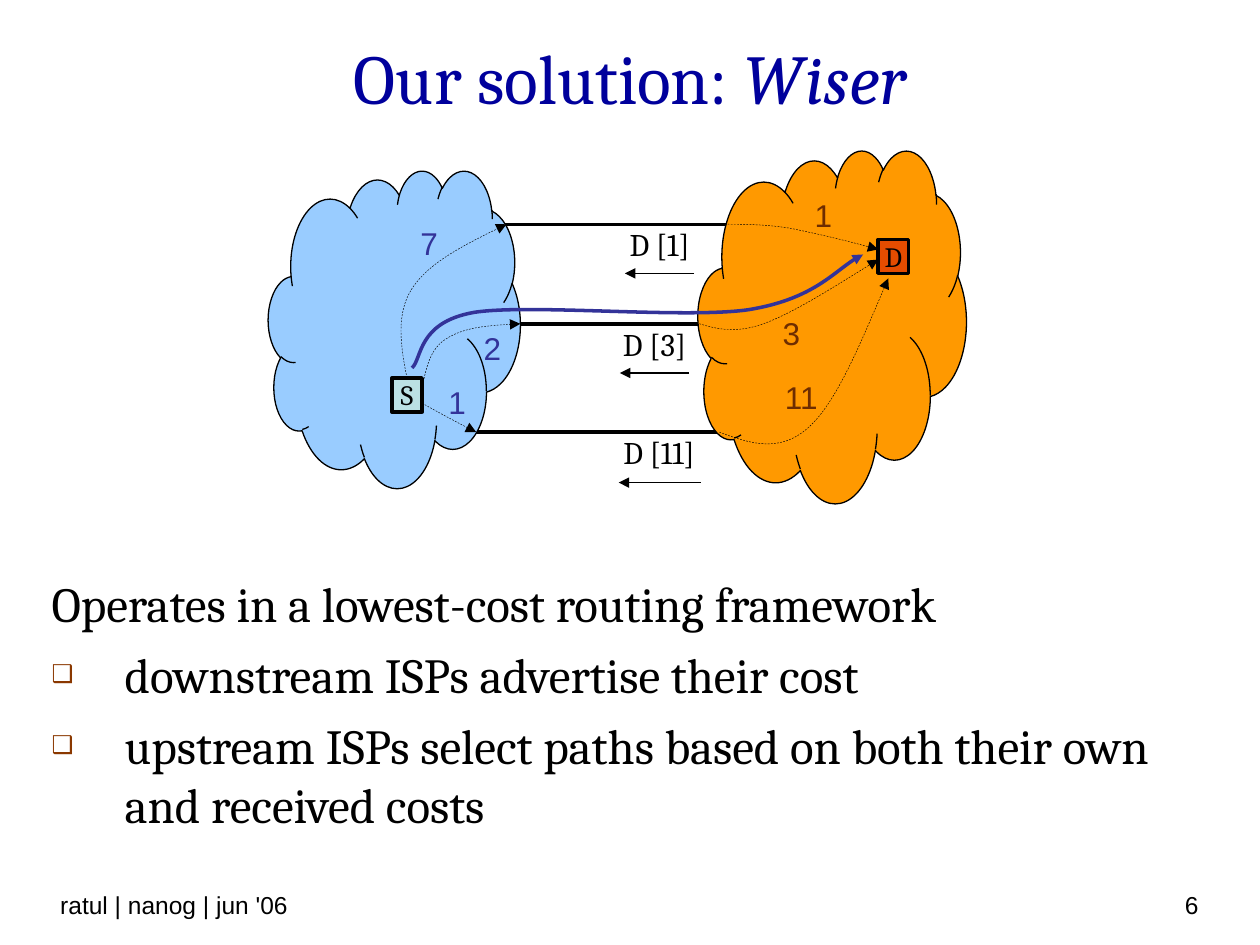
from lxml.etree import SubElement
from pptx import Presentation
from pptx.dml.color import RGBColor
from pptx.enum.dml import MSO_LINE as Dash
from pptx.enum.shapes import MSO_CONNECTOR as Connector, MSO_SHAPE as Shape
from pptx.enum.text import MSO_ANCHOR as Anchor, MSO_AUTO_SIZE as Fit, PP_ALIGN as Align
from pptx.oxml.ns import qn
from pptx.util import Inches, Pt

COLORS = {name: RGBColor.from_string(value) for name, value in {
    "title": "00009C", "ink": "000000", "bullet": "8A3800",
    "upstream": "99CCFF", "downstream": "FF9900",
    "source": "BBE0E3", "destination": "E44C00",
    "upstream cost": "333399", "downstream cost": "6E2D00",
}.items()}

deck = Presentation()
deck.slide_width, deck.slide_height = Inches(10), Inches(7.5)
CELL = deck.slide_width // 10  # square grid: 10 columns by 7.5 rows
page = deck.slides.add_slide(deck.slide_layouts[1])
shapes = page.shapes


def grid(*cells):
    """Turn columns and rows of the grid into lengths."""
    return [round(cell * CELL) for cell in cells]


def style_line(line_shape, width, color="ink", dash=None, arrow=False):
    line = line_shape.line
    line.color.rgb = COLORS[color]
    line.width = Pt(width)
    if dash:
        line.dash_style = dash
    properties = line_shape._element.spPr
    if arrow:
        SubElement(properties.find(qn("a:ln")), qn("a:tailEnd"), type="triangle")
    SubElement(properties, qn("a:effectLst"))


# Title and list
title = shapes.title
title.left, title.top, title.width, title.height = grid(0.5, 0.13, 9, 0.95)
title.text_frame.auto_size = Fit.NONE
title.text_frame.vertical_anchor = Anchor.MIDDLE
para = title.text_frame.paragraphs[0]
para.alignment = Align.CENTER
para.font.size, para.font.name = Pt(40), "Cambria"
para.font.color.rgb = COLORS["title"]
para.add_run().text = "Our solution:"
span = para.add_run()
span.text = " Wiser"
span.font.italic = True

body = page.placeholders[1]
body.left, body.top, body.width, body.height = grid(0.31, 4.5, 9.25, 2.36)
frame = body.text_frame
frame.auto_size = Fit.NONE
frame.text = "\n".join([
    "Operates in a lowest-cost routing framework",
    "downstream ISPs advertise their cost",
    "upstream ISPs select paths based on both their own and received costs",
])
indent = grid(0.58)[0]
for index, para in enumerate(frame.paragraphs):
    para.space_before = Pt(7)
    para.font.size, para.font.name = Pt(28), "Cambria"
    para.font.color.rgb = COLORS["ink"]
    properties = para._p.get_or_add_pPr()
    properties.set("marL", str(indent))
    properties.set("indent", str(-indent))
    # Bullet elements go before the default run properties
    bullet = []
    if index == 0:
        bullet.append(SubElement(properties, qn("a:buNone")))
    else:
        bullet_color = SubElement(properties, qn("a:buClr"))
        SubElement(bullet_color, qn("a:srgbClr"), val=str(COLORS["bullet"]))
        bullet.append(bullet_color)
        bullet.append(SubElement(properties, qn("a:buSzPct"), val="50000"))
        bullet.append(SubElement(properties, qn("a:buChar"), char="❑"))
    for element in bullet:
        properties.find(qn("a:defRPr")).addprevious(element)

# Links between the two networks: left, right, row
for left, right, row in [(4.04, 5.71, 2.57), (3.58, 6, 3.43), (3.78, 5.92, 1.78)]:
    link = shapes.add_connector(Connector.STRAIGHT, *grid(left, row, right, row))
    style_line(link, 2)

# Networks: a cloud, and an ellipse that hides the callout bubbles
for color, cloud_box, cover_box in [
    ("upstream", (2.13, 1.35, 2, 2.52), (2.84, 1.74, 1.18, 0.88)),
    ("downstream", (5.54, 1.19, 2.13, 2.8), (6.31, 1.63, 1.26, 0.97)),
]:
    cloud = shapes.add_shape(Shape.CLOUD_CALLOUT, *grid(*cloud_box))
    cloud.adjustments[0], cloud.adjustments[1] = 0.045, -0.036
    style_line(cloud, 0.75)
    cover = shapes.add_shape(Shape.OVAL, *grid(*cover_box))
    cover.rotation = 148.7
    cover.line.fill.background()
    cover.shadow.inherit = False
    for part in (cloud, cover):
        part.fill.solid()
        part.fill.fore_color.rgb = COLORS[color]

# Routers
for name, left, top, color in [("D", 6.97, 1.9, "destination"), ("S", 3.11, 3, "source")]:
    router = shapes.add_shape(Shape.RECTANGLE, *grid(left, top, 0.24, 0.27))
    router.fill.solid()
    router.fill.fore_color.rgb = COLORS[color]
    style_line(router, 2)
    frame = router.text_frame
    frame.margin_left = frame.margin_top = frame.margin_right = frame.margin_bottom = 0
    frame.vertical_anchor = Anchor.TOP
    frame.text = name
    para = frame.paragraphs[0]
    para.alignment = Align.CENTER
    para.font.size, para.font.name = Pt(16), "Cambria"
    para.font.color.rgb = COLORS["ink"]

# Routes as Bézier curves: a start, then three points per segment
thin = {"width": 0.25, "dash": Dash.DASH}
chosen = {"width": 2, "color": "upstream cost"}
for look, start, *points in [
    (thin, (5.75, 1.78), (5.9, 1.78), (6.06, 1.78), (6.26, 1.81),
     (6.46, 1.85), (6.72, 1.91), (6.97, 1.98)),
    (thin, (5.55, 2.57), (5.69, 2.61), (5.83, 2.65), (6.06, 2.57),
     (6.3, 2.48), (6.63, 2.27), (6.97, 2.06)),
    (thin, (5.71, 3.43), (5.95, 3.52), (6.19, 3.6), (6.42, 3.39),
     (6.64, 3.19), (6.84, 2.7), (7.05, 2.21)),
    (thin, (3.23, 3), (3.18, 2.75), (3.14, 2.49), (3.27, 2.29),
     (3.4, 2.09), (3.71, 1.93), (4.02, 1.78)),
    (thin, (3.35, 3.08), (3.38, 2.93), (3.41, 2.77), (3.54, 2.69),
     (3.68, 2.6), (3.9, 2.58), (4.13, 2.57)),
    (thin, (3.35, 3.2), (3.35, 3.2), (3.56, 3.32), (3.78, 3.43)),
    (chosen, (3.27, 2.92), (3.35, 2.85), (3.31, 2.56), (3.76, 2.48),
     (4.2, 2.41), (5.41, 2.53), (5.93, 2.46), (6.44, 2.38), (6.66, 2.11), (6.85, 2.02)),
]:
    builder = shapes.build_freeform(*grid(*start))
    builder.add_line_segments([grid(*point) for point in points], close=False)
    route = builder.convert_to_shape()
    route.fill.background()
    style_line(route, arrow=True, **look)
    outline = route._element.find(".//" + qn("a:path"))
    lines = outline.findall(qn("a:lnTo"))
    for first in range(0, len(lines), 3):
        curve = SubElement(outline, qn("a:cubicBezTo"))
        for line in lines[first:first + 3]:
            curve.append(line[0])
            outline.remove(line)

# Advertisement arrows: right, left, row
for right, left, row in [(5.51, 4.96, 2.17), (5.56, 4.91, 3.83), (5.47, 4.92, 2.96)]:
    advert = shapes.add_connector(Connector.STRAIGHT, *grid(right, row, left, row))
    style_line(advert, 1, arrow=True)

# Costs, advertisements and footer
cost = (0.4, 18, "Arial", Align.CENTER, Anchor.TOP)
advertised = (0.4, 18, "Cambria", Align.CENTER, Anchor.TOP)
for text, left, top, width, color, (height, size, font, align, anchor) in [
    ("7", 3.11, 1.73, 0.59, "upstream cost", cost),
    ("2", 3.74, 2.56, 0.33, "upstream cost", cost),
    ("1", 3.46, 2.99, 0.32, "upstream cost", cost),
    ("1", 6.3, 1.51, 0.47, "downstream cost", cost),
    ("3", 6.02, 2.44, 0.52, "downstream cost", cost),
    ("11", 6.06, 2.95, 0.6, "downstream cost", cost),
    ("D [1]", 4.8, 1.74, 0.87, "ink", advertised),
    ("D [11]", 4.72, 3.39, 1.02, "ink", advertised),
    ("D [3]", 4.76, 2.53, 0.87, "ink", advertised),
    ("6", 7.28, 6.83, 2.33, "ink", (0.52, 14, "Arial", Align.RIGHT, Anchor.BOTTOM)),
    ("ratul | nanog | jun '06", 0.38, 6.83, 4.03, "ink",
     (0.52, 14, "Arial", Align.LEFT, Anchor.BOTTOM)),
]:
    box = shapes.add_textbox(*grid(left, top, width, height))
    frame = box.text_frame
    frame.word_wrap = True
    frame.vertical_anchor = anchor
    frame.text = text
    para = frame.paragraphs[0]
    para.alignment = align
    para.font.size, para.font.name = Pt(size), font
    para.font.color.rgb = COLORS[color]

deck.save("out.pptx")
